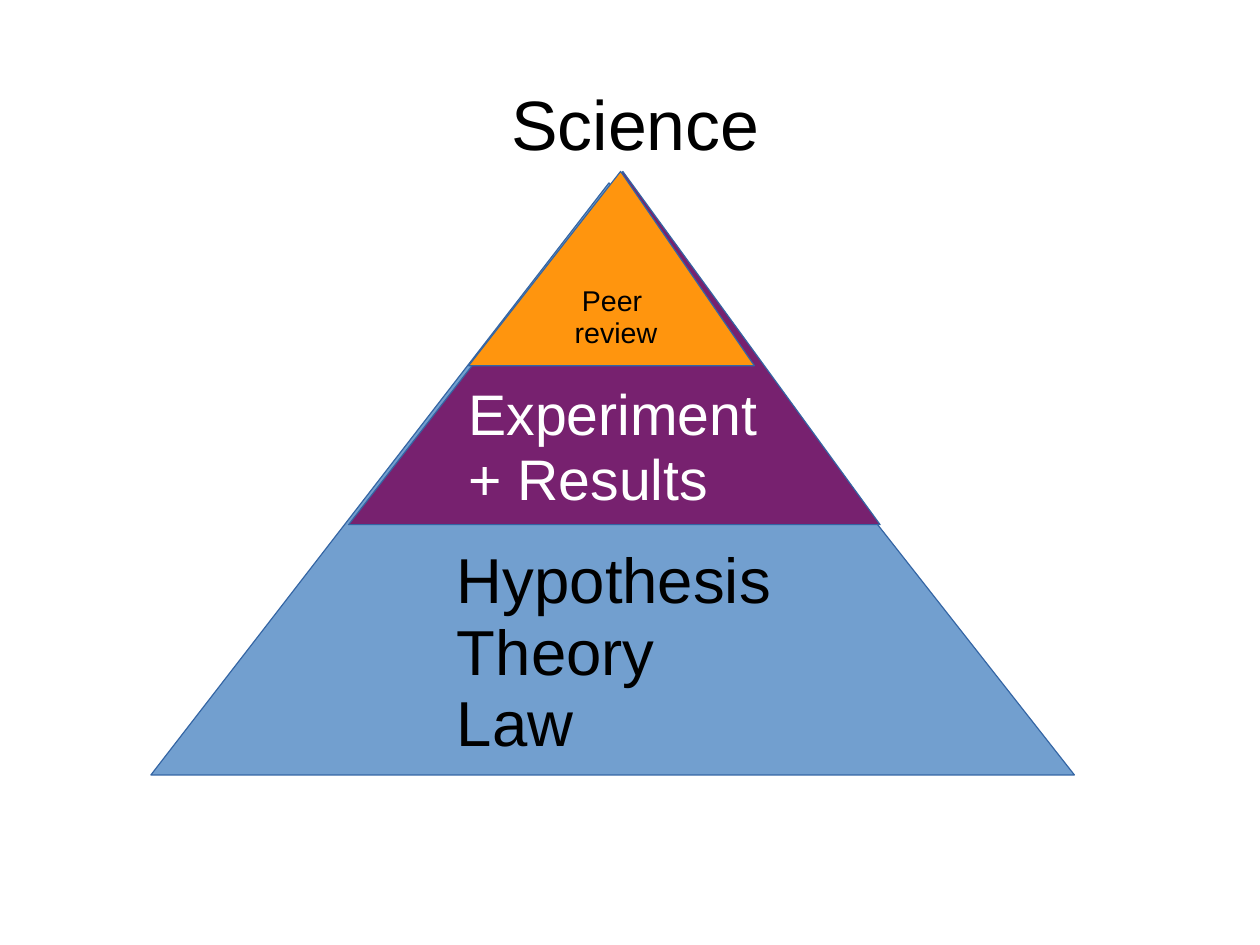
"""Build a slide showing the pyramid of science."""
from pptx import Presentation, util as u
from pptx.dml.color import RGBColor
from pptx.enum import shapes, text

BLACK = RGBColor(0x00, 0x00, 0x00)
WHITE = RGBColor(0xFF, 0xFF, 0xFF)
BLUE = RGBColor(0x72, 0x9F, 0xCF)
PURPLE = RGBColor(0x77, 0x21, 0x6F)
ORANGE = RGBColor(0xFF, 0x95, 0x0E)
OUTLINE = RGBColor(0x34, 0x65, 0xA4)
CM_PER_INCH = 2.54


def write_text(shape, lines, size, color=BLACK, align=text.PP_ALIGN.LEFT,
               anchor=text.MSO_ANCHOR.TOP, insets=(0.1, 0.08, 0.1, 0.05)):
    frame = shape.text_frame
    frame.word_wrap = True
    frame.auto_size = text.MSO_AUTO_SIZE.NONE
    frame.vertical_anchor = anchor
    (frame.margin_left, frame.margin_top,
     frame.margin_right, frame.margin_bottom) = map(u.Inches, insets)
    for index, line in enumerate(lines):
        paragraph = frame.add_paragraph() if index else frame.paragraphs[0]
        paragraph.alignment = align
        paragraph.line_spacing = 0.94
        run = paragraph.add_run()
        run.text = line
        run.font.name = "Arial"
        run.font.size = u.Pt(size)
        run.font.color.rgb = color


class PyramidSlide:
    def __init__(self, presentation):
        self.slide = presentation.slides.add_slide(presentation.slide_layouts[5])
        self.line_width = u.Pt(0.75)
        self.centered = {"align": text.PP_ALIGN.CENTER,
                         "anchor": text.MSO_ANCHOR.MIDDLE}

    def title(self, box, wording):
        shape = self.slide.shapes.title
        shape.left, shape.top, shape.width, shape.height = map(u.Inches, box)
        write_text(shape, [wording], 44, insets=(0, 0.04, 0, 0), **self.centered)

    def triangle(self, box, apex, fill, lines=()):
        shape = self.slide.shapes.add_shape(
            shapes.MSO_SHAPE.ISOSCELES_TRIANGLE, *map(u.Inches, box))
        shape.adjustments[0] = apex
        shape.shadow.inherit = False
        shape.fill.solid()
        shape.fill.fore_color.rgb = fill
        shape.line.color.rgb = OUTLINE
        shape.line.width = self.line_width
        write_text(shape, lines, 18, insets=(0.1, 0.06, 0.1, 0.05), **self.centered)

    def label(self, box, lines, size, color=BLACK):
        shape = self.slide.shapes.add_textbox(*map(u.Inches, box))
        write_text(shape, lines, size, color)


def main():
    presentation = Presentation()
    presentation.slide_width = u.Inches(28 / CM_PER_INCH)
    presentation.slide_height = u.Inches(21 / CM_PER_INCH)

    pyramid = PyramidSlide(presentation)
    pyramid.triangle((1.32, 1.6, 8.08, 5.18), 0.496, BLUE)
    pyramid.title((0.6, 0.4, 9.92, 1.38), "Science")
    pyramid.triangle((3.05, 1.5, 4.65, 3.09), 0.516, PURPLE)
    pyramid.triangle((4.1, 1.5, 2.5, 1.7), 0.532, ORANGE, ["Peer ", "review"])
    pyramid.label((3.9, 4.7, 3, 2), ["Hypothesis", "Theory", "Law"], 40)
    pyramid.label((4, 3.28, 4.1, 1.22), ["Experiment", "+ Results"], 36, WHITE)

    presentation.save("out.pptx")


if __name__ == "__main__":
    main()
